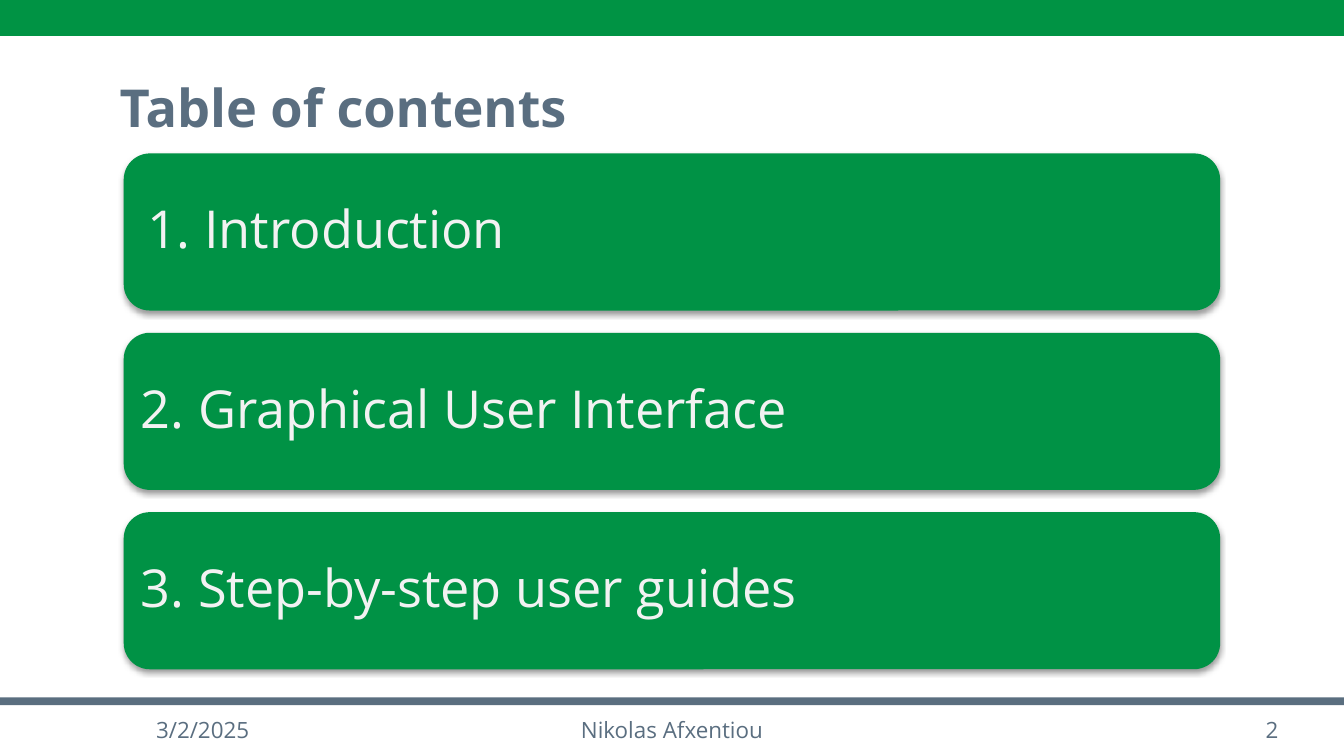
import pptx
import pptx.dml.color
import pptx.enum.shapes
import pptx.enum.text
import pptx.oxml
import pptx.oxml.ns
import pptx.util

Pt = pptx.util.Pt
SHAPE = pptx.enum.shapes.MSO_SHAPE
ANCHOR = pptx.enum.text.MSO_ANCHOR
ALIGN = pptx.enum.text.PP_ALIGN

COLORS = {
    "band": "009344",
    "card": "009245",
    "card_text": "F2F2F2",
    "rule": "5A6E7F",
    "slate": "5A6E80",
    "shadow": "000000",
}
FONT = "Open Sans"

# Chapter title and the inset of its text
CHAPTERS = [
    ("1. Introduction", 8.4),
    ("2. Graphical User Interface", 5.04),
    ("3. Step-by-step user guides", 5.04),
]
CARD_LEFT, CARD_TOP, CARD_WIDTH, CARD_HEIGHT = 66.3, 82.2, 587.4, 84.2
CARD_PITCH = 96.1
CARD_PADDING = 4.1

# Footer text, left, width, alignment
FOOTER = [
    ("3/2/2025", 76.5, 162, ALIGN.LEFT),
    ("Nikolas Afxentiou", 238.5, 243, ALIGN.CENTER),
    ("2", 530, 162, ALIGN.RIGHT),
]


def rgb(name):
    return pptx.dml.color.RGBColor.from_string(COLORS[name])


def set_all(target, values):
    for key, value in values.items():
        setattr(target, key, value)


def add_block(slide, kind, box, color):
    block = slide.shapes.add_shape(kind, *map(Pt, box))
    block.shadow.inherit = False
    block.fill.solid()
    block.fill.fore_color.rgb = rgb(color)
    block.line.fill.background()
    return block


def add_text(slide, text, box, size, color, insets, bold=False,
             anchor=ANCHOR.MIDDLE, **paragraph_format):
    frame = slide.shapes.add_textbox(*map(Pt, box)).text_frame
    left, top, right, bottom = map(Pt, insets)
    set_all(frame, {
        "word_wrap": True, "vertical_anchor": anchor,
        "margin_left": left, "margin_top": top,
        "margin_right": right, "margin_bottom": bottom,
    })
    paragraph = frame.paragraphs[0]
    paragraph.text = text
    set_all(paragraph, paragraph_format)
    set_all(paragraph.font, {"name": FONT, "size": Pt(size), "bold": bold})
    paragraph.font.color.rgb = rgb(color)


def add_drop_shadow(shape):
    effects = shape.element.spPr.find(pptx.oxml.ns.qn("a:effectLst"))
    effects.append(pptx.oxml.parse_xml(
        f'<a:outerShdw {pptx.oxml.ns.nsdecls("a")} blurRad="{Pt(3.1)}" '
        f'dist="{Pt(1.6)}" dir="5400000" algn="ctr" rotWithShape="0">'
        f'<a:srgbClr val="{COLORS["shadow"]}"><a:alpha val="38000"/>'
        '</a:srgbClr></a:outerShdw>'))


def add_chapter(slide, index, title, inset):
    top = CARD_TOP + index * CARD_PITCH
    card = add_block(slide, SHAPE.ROUNDED_RECTANGLE,
                     (CARD_LEFT, top, CARD_WIDTH, CARD_HEIGHT), "card")
    add_drop_shadow(card)
    label_box = (CARD_LEFT + CARD_PADDING, top + CARD_PADDING,
                 CARD_WIDTH - 2 * CARD_PADDING, CARD_HEIGHT - 2 * CARD_PADDING)
    add_text(slide, title, label_box, 28, "card_text", [inset] * 4,
             line_spacing=0.9)


def main():
    deck = pptx.Presentation()
    deck.slide_width, deck.slide_height = Pt(720), Pt(405)
    slide = deck.slides.add_slide(deck.slide_layouts[6])

    # Top band and footer rule
    add_block(slide, SHAPE.RECTANGLE, (0, 0, 720, 19.2), "band")
    add_block(slide, SHAPE.RECTANGLE, (0, 373.6, 720, 4.2), "rule")

    # Heading
    add_text(slide, "Table of contents", (57, 35.3, 607, 45.4), 28, "slate",
             (7.2, 5, 7.2, 7.2), bold=True, anchor=ANCHOR.TOP)

    # Chapters
    for index, (title, inset) in enumerate(CHAPTERS):
        add_chapter(slide, index, title, inset)

    # Footer
    for text, left, width, alignment in FOOTER:
        add_text(slide, text, (left, 380.2, width, 21.6), 12, "slate",
                 (7.2, 3.6, 7.2, 3.6), alignment=alignment)

    deck.save("out.pptx")


if __name__ == "__main__":
    main()
